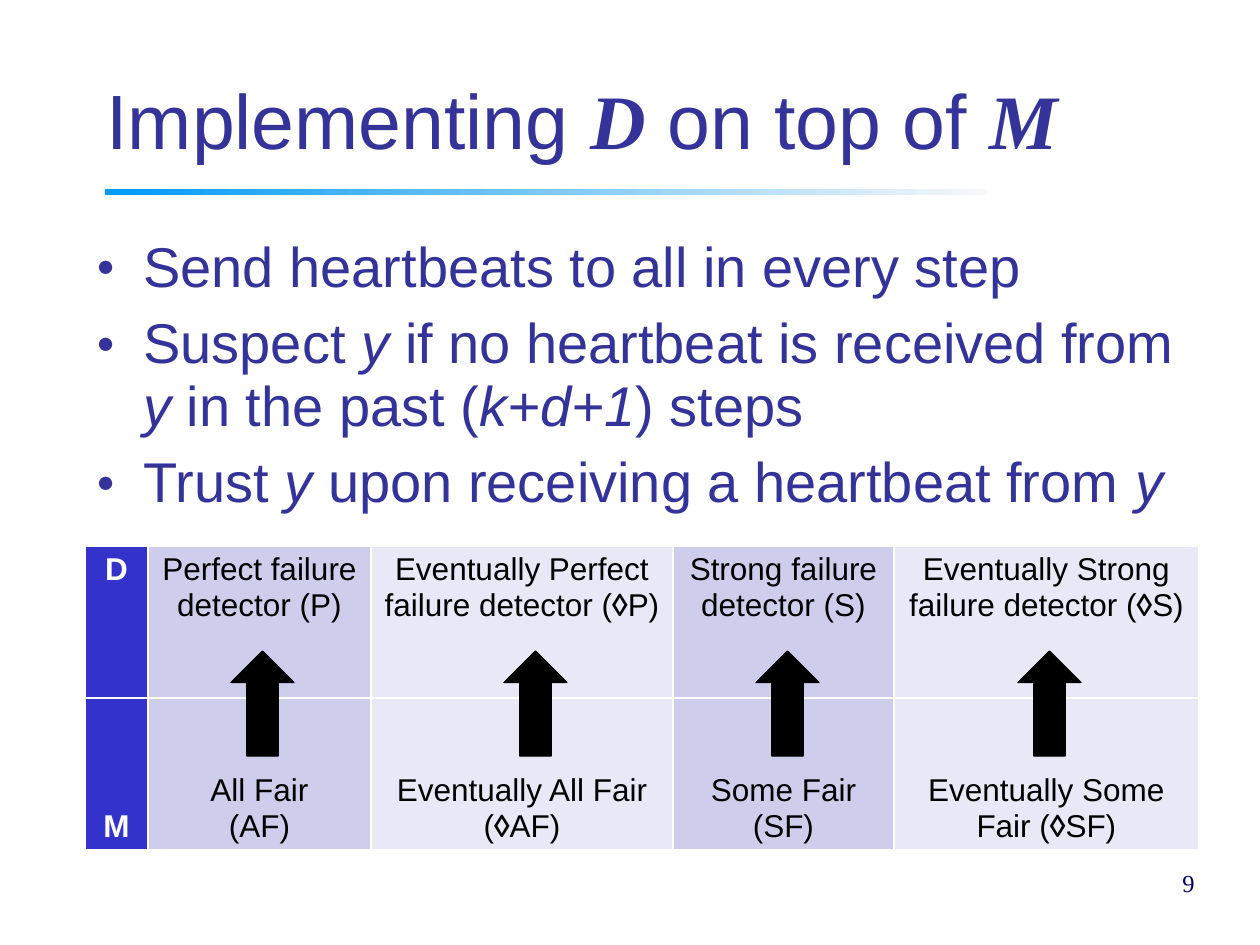
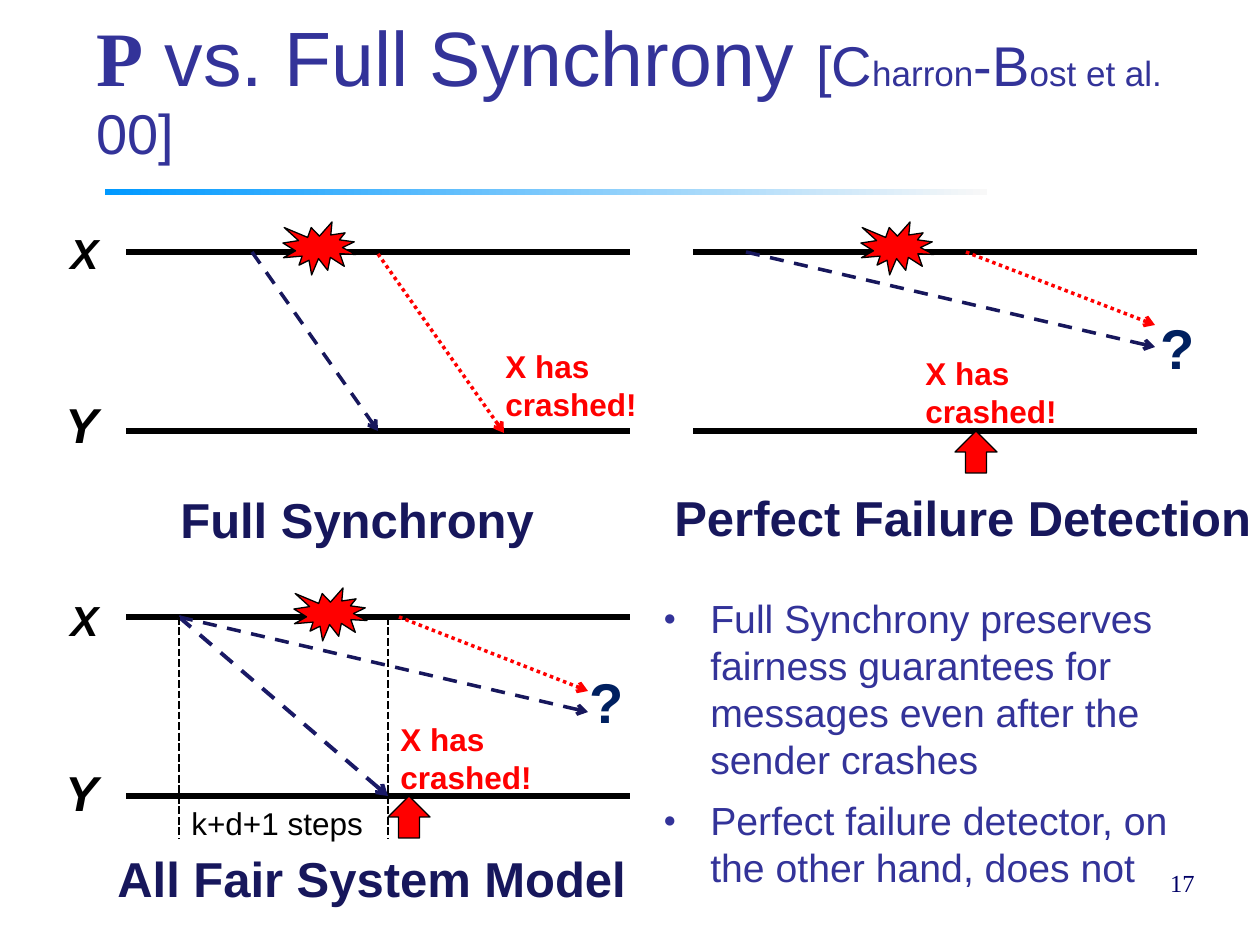
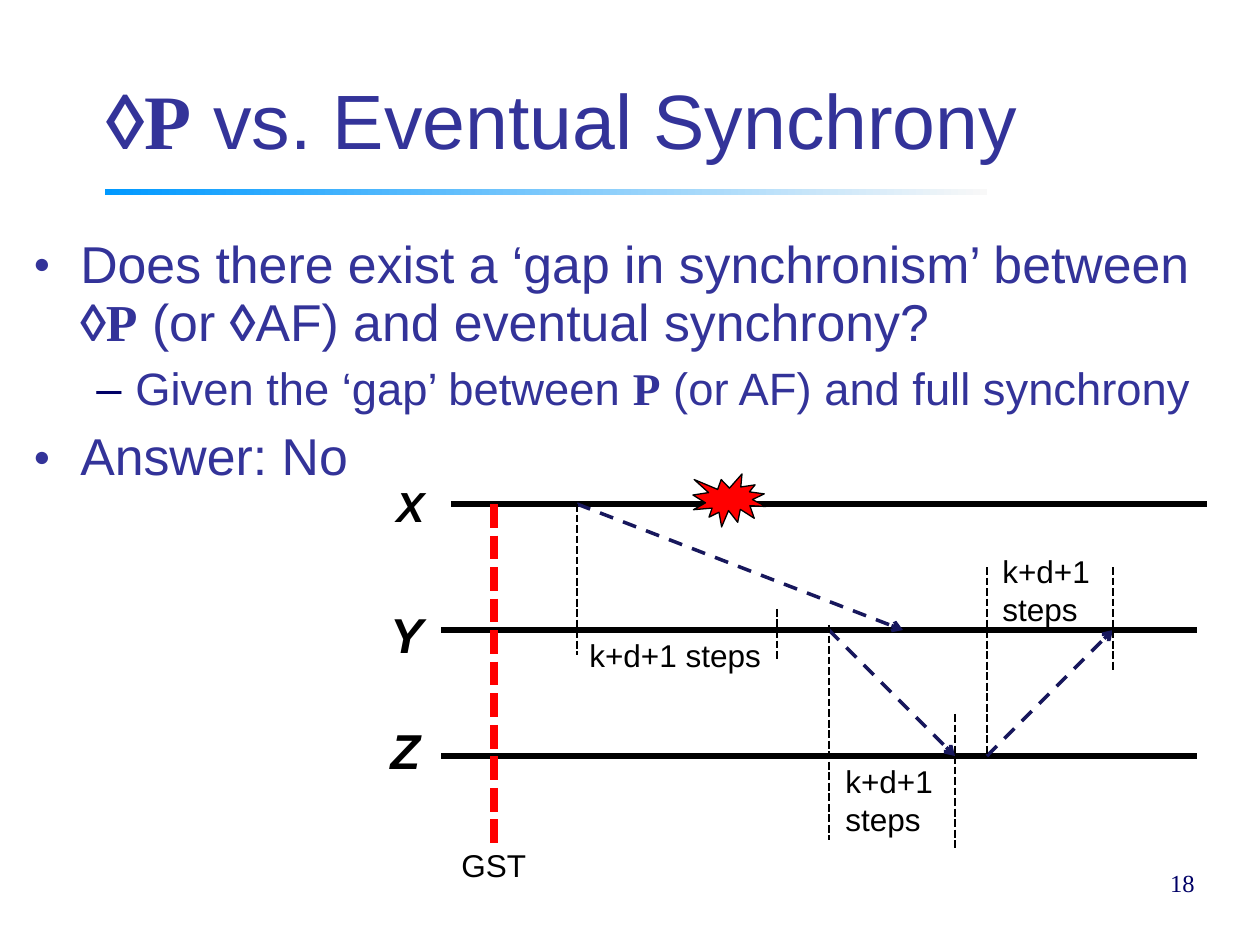
from lxml import etree
from pptx import Presentation
from pptx.dml.color import RGBColor
from pptx.enum.dml import MSO_LINE
from pptx.enum.shapes import MSO_CONNECTOR, MSO_SHAPE
from pptx.enum.text import MSO_ANCHOR, MSO_AUTO_SIZE, PP_ALIGN
from pptx.oxml.ns import qn
from pptx.util import Pt

PX = 914400 / 126

BLUE = RGBColor(0x33, 0x33, 0x99)
DEEP = RGBColor(0x00, 0x00, 0x66)
NAVY = RGBColor(0x17, 0x17, 0x5C)
INK = RGBColor(0x19, 0x19, 0x66)
TEAL = RGBColor(0x00, 0x20, 0x60)
HEAD = RGBColor(0x33, 0x33, 0xCC)
DARK = RGBColor(0xCE, 0xCE, 0xEC)
PALE = RGBColor(0xE8, 0xE8, 0xF6)
SKY = RGBColor(0x00, 0x99, 0xFF)
MIST = RGBColor(0xF8, 0xF8, 0xF8)
RED = RGBColor(0xFF, 0x00, 0x00)
BLACK = RGBColor(0x00, 0x00, 0x00)
WHITE = RGBColor(0xFF, 0xFF, 0xFF)

STRAIGHT = MSO_CONNECTOR.STRAIGHT
SOLID, DASH = MSO_LINE.SOLID, MSO_LINE.DASH
DOTS, TICKS = MSO_LINE.ROUND_DOT, MSO_LINE.SQUARE_DOT
RECT, UP, SEAL = MSO_SHAPE.RECTANGLE, MSO_SHAPE.UP_ARROW, MSO_SHAPE.EXPLOSION1
TOP, MIDDLE, BOTTOM = MSO_ANCHOR.TOP, MSO_ANCHOR.MIDDLE, MSO_ANCHOR.BOTTOM
FIXED, GROW = MSO_AUTO_SIZE.NONE, MSO_AUTO_SIZE.SHAPE_TO_FIT_TEXT
LEFT, CENTER, RIGHT = PP_ALIGN.LEFT, PP_ALIGN.CENTER, PP_ALIGN.RIGHT

# Line kinds: colour, points, dash, arrow
LINES = {
    "axis": (BLACK, 3, SOLID, False),
    "sent": (NAVY, 2, DASH, True),
    "fair": (INK, 2.25, DASH, True),
    "late": (RED, 2, DOTS, True),
    "mark": (BLACK, 1.5, TICKS, False),
    "gst": (RED, 4.5, TICKS, False),
}
# Label kinds: size, colour, marks
LABELS = {
    "first": (24, BLACK, "bi"),
    "other": (28, BLACK, "bi"),
    "name": (28, NAVY, "b"),
    "alarm": (18, RED, "b"),
    "doubt": (32, TEAL, "b"),
    "note": (18, BLACK, ""),
}
# Bullet levels: indent, hang, space before, sign, colour, percent
LEVELS = [(47, 47, 8, "●", BLUE, 55), (102, 39, 7, "–", DEEP, 100)]

# A run is (text, marks[, size]); marks: b bold, i italic, t Times New Roman
EVER = ("◊", "b")
Y = ("y", "i")
P = ("P", "bt")
PANELS = [(126, 252), (693, 252), (126, 617)]

SLIDES = [
    {
        "number": "9",
        "title": (94, 1071, [("Implementing ", ""), ("D", "bit"),
                             (" on top of ", ""), ("M", "bit")]),
        "body": (84, 231, 1123, 294, 0.93, [
            (0, 32, [("Send heartbeats to all in every step", "")]),
            (0, 32, [("Suspect ", ""), Y, (" if no heartbeat is received from ", ""), Y,
                     (" in the past (", ""), ("k+d+1", "i"), (") steps", "")]),
            (0, 32, [("Trust ", ""), Y, (" upon receiving a heartbeat from ", ""), Y]),
        ]),
        "lines": [],
        "shapes": [(UP, BLACK, x, 651, 63, 105) for x in (231, 504, 756, 1018)],
        "labels": [],
    },
    {
        "number": "17",
        "title": (84, 1176, [P, (" vs. Full Synchrony ", ""), ("[C", "", 32),
                             ("harron", "", 20), ("-B", "", 32),
                             ("ost et al. ", "", 20), ("00]", "", 32)]),
        "body": (651, 588, 577, 315, 1.0, [
            (0, 22.4, [("Full Synchrony preserves fairness guarantees for messages "
                        "even after the sender crashes", "")]),
            (0, 22.4, [("Perfect failure detector, on the other hand, does not", "")]),
        ]),
        "lines": [("axis", x, y + drop, x + 504, y + drop)
                  for x, y in PANELS for drop in (0, 179)] + [
            ("sent", 252, 252, 378, 431),
            ("late", 378, 254, 504, 433),
            ("sent", 746, 252, 1155, 347),
            ("late", 966, 252, 1155, 325),
            ("sent", 179, 617, 588, 712),
            ("late", 399, 617, 588, 691),
            ("fair", 179, 617, 388, 796),
            ("mark", 179, 617, 179, 838),
            ("mark", 388, 617, 388, 838),
        ],
        "shapes": [
            (SEAL, RED, 283, 222, 73, 53),
            (SEAL, RED, 861, 222, 73, 53),
            (SEAL, RED, 294, 588, 73, 53),
            (UP, RED, 955, 431, 42, 42),
            (UP, RED, 388, 796, 42, 42),
        ],
        "labels": [
            ("first", 58, 221, 54, "X"),
            ("other", 53, 388, 58, "Y"),
            ("first", 58, 588, 54, "X"),
            ("other", 53, 756, 58, "Y"),
            ("name", 168, 483, 383, "Full Synchrony"),
            ("name", 662, 481, 610, "Perfect Failure Detection"),
            ("name", 105, 842, 539, "All Fair System Model"),
            ("alarm", 493, 341, 157, "X has\ncrashed!"),
            ("alarm", 913, 348, 157, "X has\ncrashed!"),
            ("alarm", 388, 714, 157, "X has\ncrashed!"),
            ("doubt", 1148, 307, 60, "?"),
            ("doubt", 577, 661, 60, "?"),
            ("note", 179, 798, 204, "k+d+1 steps"),
        ],
    },
    {
        "number": "18",
        "title": (94, 1071, [EVER, P, (" vs. Eventual Synchrony", "")]),
        "body": (21, 231, 1186, 336, 0.93, [
            (0, 29.6, [("Does there exist a ‘gap in synchronism’ between ", ""), EVER, P,
                       (" (or ", ""), EVER, ("AF) and eventual synchrony?", "")]),
            (1, 25.9, [("Given the ‘gap’ between ", ""), P,
                       (" (or AF) and full synchrony", "")]),
            (0, 29.6, [("Answer: No", "")]),
        ]),
        "lines": [
            ("axis", 451, 504, 1207, 504),
            ("axis", 441, 630, 1197, 630),
            ("axis", 441, 756, 1197, 756),
            ("sent", 577, 504, 903, 630),
            ("sent", 829, 630, 955, 756),
            ("sent", 987, 756, 1113, 630),
            ("gst", 494, 504, 494, 850),
            ("mark", 577, 504, 577, 655),
            ("mark", 777, 609, 777, 661),
            ("mark", 829, 625, 829, 840),
            ("mark", 955, 714, 955, 850),
            ("mark", 987, 567, 987, 756),
            ("mark", 1113, 567, 1113, 672),
        ],
        "shapes": [(SEAL, RED, 693, 474, 73, 53)],
        "labels": [
            ("first", 384, 474, 54, "X"),
            ("other", 378, 598, 58, "Y"),
            ("other", 378, 714, 55, "Z"),
            ("note", 577, 630, 204, "k+d+1 steps"),
            ("note", 833, 756, 122, "k+d+1\nsteps"),
            ("note", 990, 546, 122, "k+d+1\nsteps"),
            ("note", 449, 840, 91, "GST"),
        ],
    },
]

COLS = [63, 223, 302, 221, 305]
ROWS = [
    (TOP, [
        [[("D", "b")]],
        [[("Perfect failure detector (P)", "")]],
        [[("Eventually Perfect failure detector (", ""), EVER, ("P)", "")]],
        [[("Strong failure detector (S)", "")]],
        [[("Eventually Strong failure detector (", ""), EVER, ("S)", "")]],
    ]),
    (BOTTOM, [
        [[("M", "b")]],
        [[("All Fair", "")], [("(AF)", "")]],
        [[("Eventually All Fair (", ""), EVER, ("AF)", "")]],
        [[("Some Fair (SF)", "")]],
        [[("Eventually Some Fair (", ""), EVER, ("SF)", "")]],
    ]),
]


def emu(*sizes):
    return [round(size * PX) for size in sizes]


def write(par, runs, size, color, align=LEFT):
    par.alignment = align
    for text, marks, *own in runs:
        run = par.add_run()
        run.text = text
        font = run.font
        font.name = "Times New Roman" if "t" in marks else "Arial"
        font.size = Pt(own[0] if own else size)
        font.bold = "b" in marks
        font.italic = "i" in marks
        font.color.rgb = color


deck = Presentation()
deck.slide_width, deck.slide_height = emu(1260, 945)

for plan in SLIDES:
    slide = deck.slides.add_slide(deck.slide_layouts[5])
    shapes = slide.shapes

    # Title and the fading rule below it
    left, width, runs = plan["title"]
    title = shapes.title
    title.left, title.top, title.width, title.height = emu(left, -11, width, 184)
    frame = title.text_frame
    frame.auto_size = FIXED
    frame.vertical_anchor = BOTTOM
    frame.paragraphs[0].line_spacing = 0.93
    write(frame.paragraphs[0], runs, 44, BLUE)

    rule = shapes.add_shape(RECT, *emu(105, 189, 882, 6))
    rule.shadow.inherit = False
    rule.line.fill.background()
    rule.fill.gradient()
    rule.fill.gradient_angle = 0
    for stop, color in zip(rule.fill.gradient_stops, (SKY, MIST)):
        stop.color.rgb = color

    # Bullets
    *area, pitch, items = plan["body"]
    frame = shapes.add_textbox(*emu(*area)).text_frame
    frame.word_wrap = True
    for n, (level, size, runs) in enumerate(items):
        par = frame.add_paragraph() if n else frame.paragraphs[0]
        indent, hang, gap, sign, color, share = LEVELS[level]
        par.level = level
        par.line_spacing = pitch
        par.space_before = Pt(gap)
        write(par, runs, size, BLUE)
        props = par._p.get_or_add_pPr()
        props.set("marL", str(round(indent * PX)))
        props.set("indent", str(-round(hang * PX)))
        tint = etree.SubElement(props, qn("a:buClr"))
        etree.SubElement(tint, qn("a:srgbClr"), val=str(color))
        etree.SubElement(props, qn("a:buSzPct"), val=str(share * 1000))
        etree.SubElement(props, qn("a:buFont"), typeface="Arial")
        etree.SubElement(props, qn("a:buChar"), char=sign)

    # Slide number
    frame = shapes.add_textbox(*emu(945, 851, 262, 63)).text_frame
    frame.word_wrap = True
    frame.vertical_anchor = MIDDLE
    write(frame.paragraphs[0], [(plan["number"], "t")], 14, DEEP, RIGHT)

    # Table of detectors and system models
    if plan is SLIDES[0]:
        table = shapes.add_table(2, 5, *emu(85, 546, sum(COLS), 304)).table
        table.first_row = table.horz_banding = False
        for col, width in zip(table.columns, COLS):
            col.width = emu(width)[0]
        for r, (anchor, cells) in enumerate(ROWS):
            for c, paras in enumerate(cells):
                cell = table.cell(r, c)
                props = cell._tc.get_or_add_tcPr()
                for side in ("a:lnL", "a:lnR", "a:lnT", "a:lnB"):
                    edge = etree.SubElement(props, qn(side), w=str(Pt(1)))
                    paint = etree.SubElement(edge, qn("a:solidFill"))
                    etree.SubElement(paint, qn("a:srgbClr"), val=str(WHITE))
                cell.fill.solid()
                cell.fill.fore_color.rgb = (PALE, DARK)[c % 2] if c else HEAD
                cell.vertical_anchor = anchor
                frame = cell.text_frame
                for n, runs in enumerate(paras):
                    par = frame.add_paragraph() if n else frame.paragraphs[0]
                    write(par, runs, 18, BLACK if c else WHITE, CENTER)

    # Time lines, messages and marks
    for kind, *ends in plan["lines"]:
        color, weight, dash, arrow = LINES[kind]
        link = shapes.add_connector(STRAIGHT, *emu(*ends))
        link.line.color.rgb = color
        link.line.width = Pt(weight)
        link.line.dash_style = dash
        props = link.element.spPr
        if arrow:
            etree.SubElement(props.find(qn("a:ln")), qn("a:tailEnd"), type="arrow")
        etree.SubElement(props, qn("a:effectLst"))

    # Crashes and block arrows
    for kind, color, *area in plan["shapes"]:
        shape = shapes.add_shape(kind, *emu(*area))
        shape.shadow.inherit = False
        shape.fill.solid()
        shape.fill.fore_color.rgb = color
        shape.line.color.rgb = BLACK
        shape.line.width = Pt(0.75)

    for kind, left, top, width, text in plan["labels"]:
        size, color, marks = LABELS[kind]
        rows = text.split("\n")
        height = 13 + round(2.1 * size) * len(rows)
        frame = shapes.add_textbox(*emu(left, top, width, height)).text_frame
        frame.word_wrap = False
        frame.auto_size = GROW
        for n, row in enumerate(rows):
            par = frame.add_paragraph() if n else frame.paragraphs[0]
            write(par, [(row, marks)], size, color)

deck.save("out.pptx")
